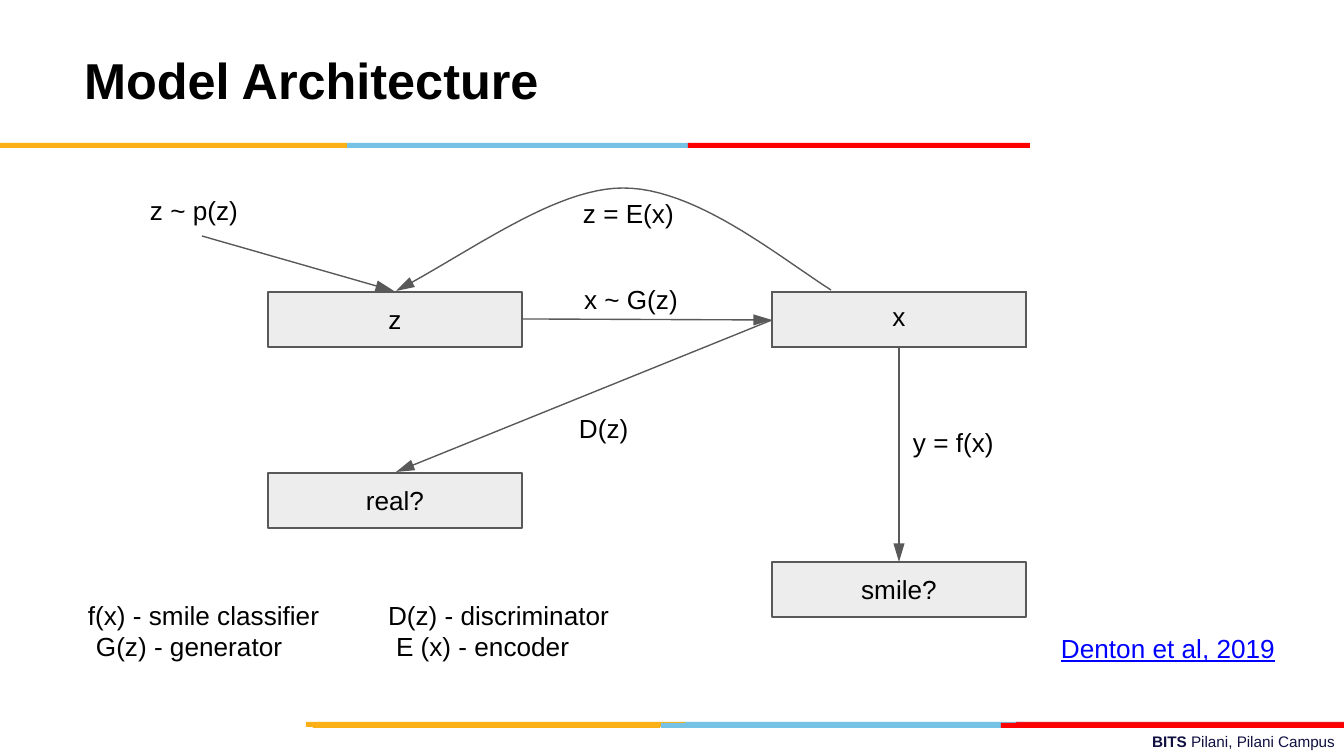
from lxml.etree import SubElement
from pptx import Presentation
from pptx.dml.color import RGBColor
from pptx.enum.shapes import MSO_CONNECTOR as Link, MSO_SHAPE as Shape
from pptx.enum.text import MSO_ANCHOR as Anchor, PP_ALIGN as Align
from pptx.oxml import parse_xml
from pptx.oxml.ns import nsdecls, qn
from pptx.util import Pt

SCALE = 914400 / 134.4
GRAY, PALE = "595959", "EDEDED"
GOLD, BLUE, RED = "FCB017", "76C2E5", "FF0000"
hue = RGBColor.from_string


def px(*nums):
    return [round(n * SCALE) for n in nums]


def write(frame, text, size=14, color="000000", bold=False, under=False,
          align=Align.LEFT, anchor=Anchor.TOP, pad=(0, 3, 0, 0),
          wrap=False, new=False, lead=None, indent=0):
    frame.word_wrap = wrap
    frame.vertical_anchor = anchor
    (frame.margin_left, frame.margin_top,
     frame.margin_right, frame.margin_bottom) = px(*pad)
    para = frame.add_paragraph() if new else frame.paragraphs[-1]
    para.alignment = align
    if lead:
        para.line_spacing = Pt(lead)
    if indent:
        para._p.get_or_add_pPr().set("indent", str(px(indent)[0]))
    run = para.add_run()
    run.text = text
    font = run.font
    font.name, font.size, font.bold = "Arial", Pt(size), bold
    font.underline = under
    font.color.rgb = hue(color)


deck = Presentation()
deck.slide_width, deck.slide_height = px(1344, 756)
slide = deck.slides.add_slide(deck.slide_layouts[5])
shapes = slide.shapes

foot = shapes.add_textbox(*px(481, 727, 863, 28)).text_frame
for text, bold in [("BITS ", True), ("Pilani, Pilani Campus", False)]:
    write(foot, text, size=8.2, color="101141", bold=bold, wrap=True,
          align=Align.RIGHT, pad=(9, 5, 9, 5))

bars = [
    (680, 722, 343, BLUE), (1016, 722, 328, "E31C24"), (306, 722, 379, GOLD),
    (661, 723, 343, BLUE), (313, 723, 347, GOLD), (1001, 723, 343, RED),
    (347, 143, 343, BLUE), (0, 143, 347, GOLD), (688, 143, 342, RED),
]
for x, y, wide, color in bars:
    bar = shapes.add_shape(Shape.RECTANGLE, *px(x, y, wide, 5))
    bar.shadow.inherit = False
    bar.fill.solid()
    bar.fill.fore_color.rgb = hue(color)
    bar.line.fill.background()

title = shapes.title
title.left, title.top, title.width, title.height = px(44, 16, 930, 126)
write(title.text_frame, "Model Architecture", size=27, bold=True, wrap=True,
      anchor=Anchor.MIDDLE, pad=(40, 7, 13, 7))

table = shapes.add_table(2, 2, *px(772, 292, 254, 262)).table
table.first_row = table.horz_banding = False
for col in table.columns:
    col.width = px(127)[0]
for row, high in zip(table.rows, (55, 207)):
    row.height = px(high)[0]
edges = [["LRTB", "LRTB"], ["RT", "LT"]]
for r, row in enumerate(edges):
    for c, sides in enumerate(row):
        cell = table.cell(r, c)
        props = cell._tc.get_or_add_tcPr()
        for side in "LRTB":
            paint = (f'<a:solidFill><a:srgbClr val="{GRAY}"/></a:solidFill>'
                     if side in sides else "<a:noFill/>")
            props.append(parse_xml(
                f'<a:ln{side} {nsdecls("a")} w="9525">{paint}</a:ln{side}>'))
        if r:
            cell.fill.background()
        else:
            cell.fill.solid()
            cell.fill.fore_color.rgb = hue(PALE)
table.cell(0, 0).merge(table.cell(0, 1))
cells = [(0, 0, "x", Align.CENTER, (0, 0, 0, 4)),
         (1, 1, "y = f(x)", Align.LEFT, (14, 0, 0, 14))]
for r, c, text, align, pad in cells:
    cell = table.cell(r, c)
    write(cell.text_frame, text, align=align, wrap=True, pad=pad)
    cell.vertical_anchor = Anchor.MIDDLE
    (cell.margin_left, cell.margin_top,
     cell.margin_right, cell.margin_bottom) = px(*pad)

for x, y, text in [(268, 292, "z"), (268, 473, "real?"), (772, 562, "smile?")]:
    box = shapes.add_shape(Shape.RECTANGLE, *px(x, y, 254, 55))
    box.shadow.inherit = False
    box.fill.solid()
    box.fill.fore_color.rgb = hue(PALE)
    box.line.color.rgb = hue(GRAY)
    box.line.width = Pt(0.75)
    write(box.text_frame, text, align=Align.CENTER, anchor=Anchor.MIDDLE,
          pad=(0, 0, 0, 0))

ends = [(202, 236, 394, 291), (522, 319, 772, 320),
        (772, 320, 396, 472), (899, 540, 899, 562)]
lines = [shapes.add_connector(Link.STRAIGHT, *px(*end)) for end in ends]

halves = [((831, 290), (775, 254), (695, 188), (623, 188)),
          ((623, 188), (555, 188), (470, 252), (396, 291))]
dots = []
for half in halves:
    for step in range(1, 25):
        t = step / 24
        mix = ((1 - t) ** 3, 3 * t * (1 - t) ** 2, 3 * t * t * (1 - t), t ** 3)
        dots.append(px(*(sum(m * p[i] for m, p in zip(mix, half))
                         for i in (0, 1))))
pen = shapes.build_freeform(*px(831, 290))
pen.add_line_segments(dots, close=False)
curve = pen.convert_to_shape()
curve.fill.background()
lines.append(curve)

for line in lines:
    line.line.color.rgb = hue(GRAY)
    line.line.width = Pt(0.75)
    props = line.element.spPr
    SubElement(props.find(qn("a:ln")), qn("a:tailEnd"),
               type="triangle", w="med", len="lg")
    SubElement(props, qn("a:effectLst"))

labels = [
    (150, 191, 91, "z ~ p(z)"), (583, 194, 94, "z = E(x)"),
    (584, 280, 97, "x ~ G(z)"), (579, 409, 54, "D(z)"),
]
for x, y, wide, text in labels:
    write(shapes.add_textbox(*px(x, y, wide, 35)).text_frame, text)

cite = shapes.add_textbox(*px(1061, 629, 218, 35)).text_frame
write(cite, "Denton et al, 2019", color="0000FF", under=True)

keys = [
    (88, 234, "f(x) - smile classifier", "G(z) - generator"),
    (388, 224, "D(z) - discriminator", "E (x) - encoder"),
]
for x, wide, first, second in keys:
    frame = shapes.add_textbox(*px(x, 593, wide, 66)).text_frame
    write(frame, first, lead=16.5, pad=(0, 7, 0, 0))
    write(frame, second, lead=16.5, pad=(0, 7, 0, 0), new=True, indent=8)

deck.save("out.pptx")
